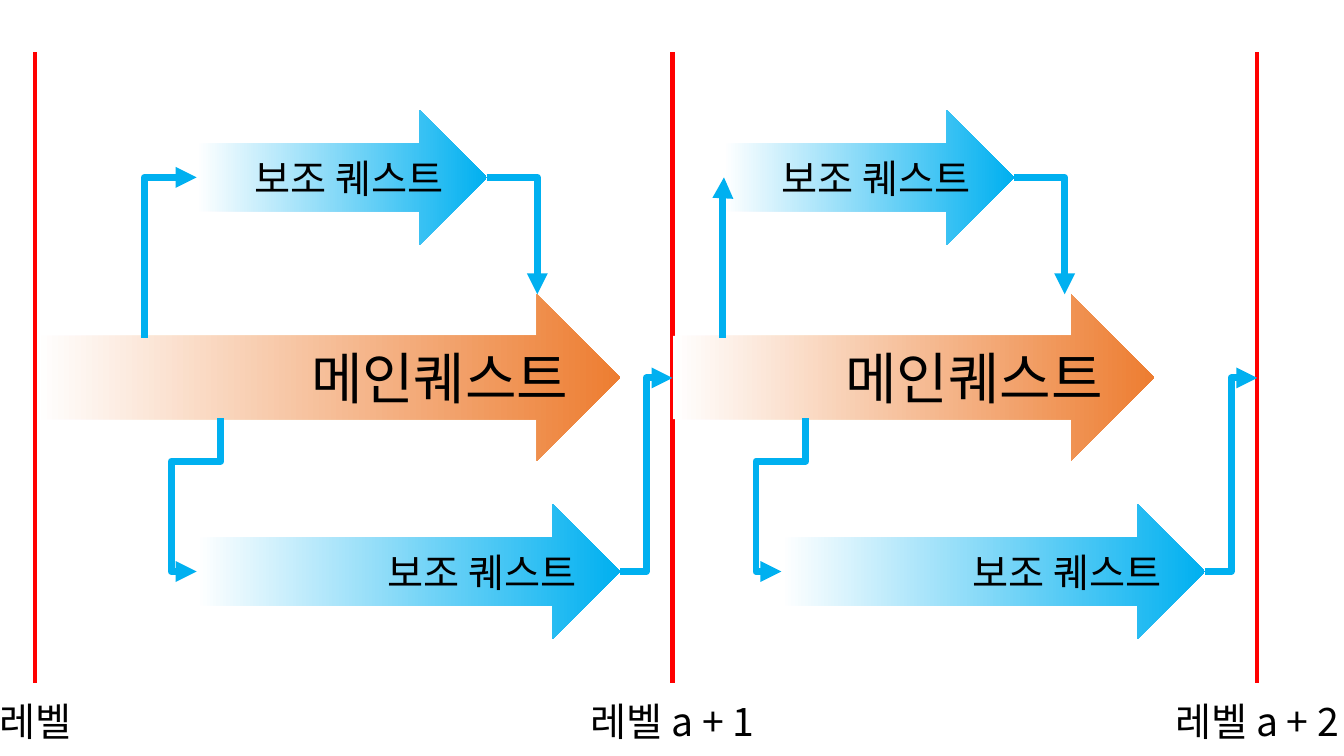
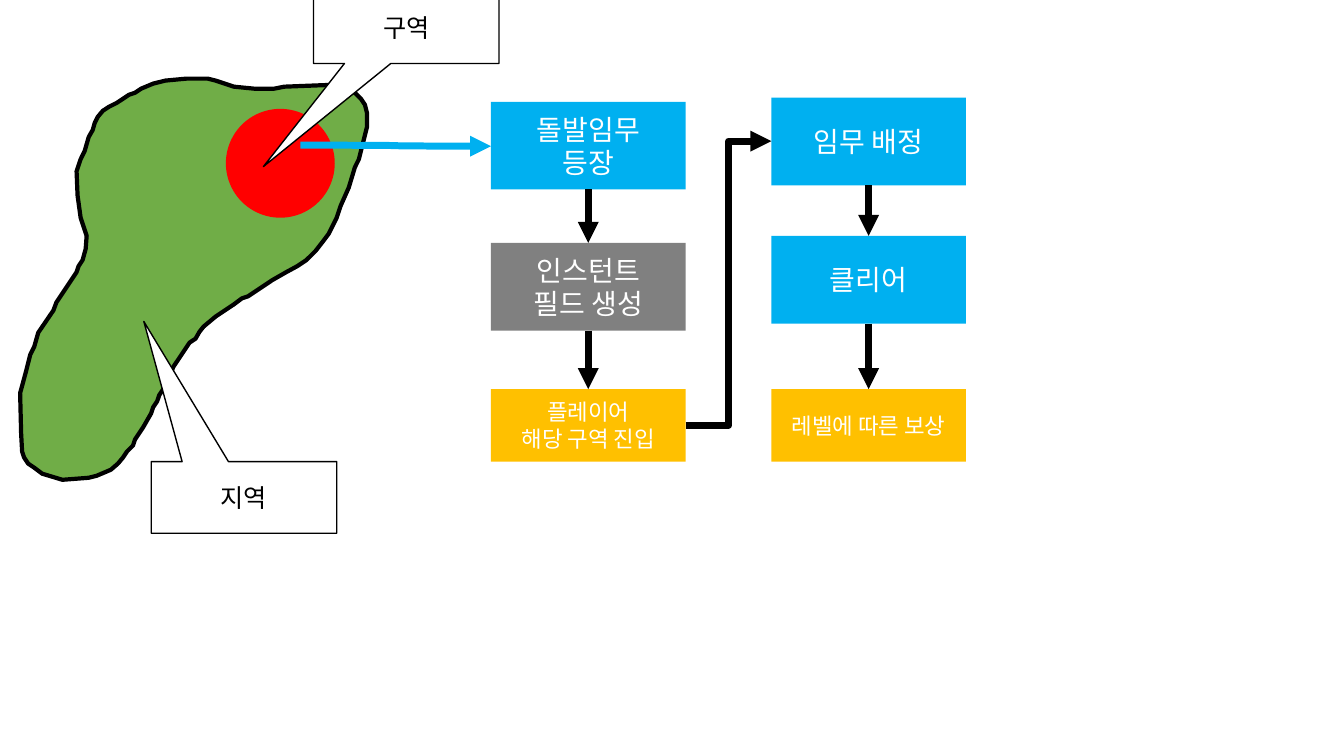
"""Build two game-design slides: quest flow per level and sudden-mission flow."""
from lxml.etree import SubElement
from pptx import Presentation
from pptx.dml.color import RGBColor
from pptx.enum.shapes import MSO_CONNECTOR, MSO_SHAPE
from pptx.enum.text import MSO_ANCHOR, PP_ALIGN
from pptx.oxml.ns import qn
from pptx.util import Pt

PX = 9144
FONT = "Noto Sans CJK KR"
WHITE = RGBColor(0xFF, 0xFF, 0xFF)
BLACK = RGBColor(0, 0, 0)
RED = RGBColor(0xFF, 0, 0)
BLUE = RGBColor(0x00, 0xB0, 0xF0)
ORANGE = RGBColor(0xED, 0x7D, 0x31)
AMBER = RGBColor(0xFF, 0xC0, 0x00)
GRAY = RGBColor(0x80, 0x80, 0x80)
GREEN = RGBColor(0x70, 0xAD, 0x47)

LEVELS = [(35, 100, "레벨 a"), (667, 210, "레벨 a + 1"), (1247, 210, "레벨 a + 2")]
LEVEL_TOP, LEVEL_BOTTOM, LABEL_TOP = 52, 678, 687
MAIN, SIDE = "메인퀘스트", "보조 퀘스트"
STAGES = [
    {"main": (35, 580), "upper": 195, "branch": 143, "lower": 195, "end": 667},
    {"main": (667, 478), "upper": 718, "branch": 717, "lower": 775, "end": 1247},
]
MAIN_TOP, MAIN_H, SIDE_H = 292, 165, 134
UPPER_TOP, UPPER_W, LOWER_TOP, LOWER_W = 109, 288, 500, 420

BOX_W = 193
COLUMNS = [
    (487, [(101, 87, BLUE, 20, ["돌발임무", "등장"]),
           (241, 87, GRAY, 20, ["인스턴트", "필드 생성"]),
           (386, 72, AMBER, 16, ["플레이어", "해당 구역 진입"])]),
    (765, [(97, 87, BLUE, 20, ["임무 배정"]),
           (234, 87, BLUE, 20, ["클리어"]),
           (386, 72, AMBER, 16, ["레벨에 따른 보상"])]),
]
CALLOUTS = [(150, 458, -0.54, -2.46, "지역"), (311, -8, -0.77, 1.94, "구역")]
ZONE = (224, 108, 108, 108)
REGION = [
    (206, 78), (185, 78), (164, 80), (152, 83), (140, 88), (134, 92), (128, 94),
    (116, 102), (108, 106), (102, 110), (97, 116), (94, 122), (92, 129), (88, 136),
    (84, 150), (80, 158), (76, 170), (77, 194), (80, 216), (86, 234), (85, 247),
    (82, 258), (78, 264), (76, 270), (60, 294), (56, 300), (53, 308), (38, 330),
    (34, 344), (30, 352), (26, 368), (20, 390), (21, 430), (22, 448), (24, 454),
    (28, 460), (34, 464), (42, 470), (62, 476), (88, 474), (96, 472), (110, 466),
    (117, 460), (122, 454), (126, 448), (132, 442), (134, 436), (142, 424),
    (150, 410), (152, 404), (156, 398), (158, 392), (162, 386), (164, 380),
    (168, 374), (172, 364), (188, 340), (194, 336), (198, 329), (202, 324),
    (214, 314), (232, 302), (240, 296), (246, 294), (258, 286), (270, 278),
    (284, 270), (295, 264), (304, 258), (313, 249), (320, 240), (326, 232),
    (334, 216), (338, 204), (346, 186), (352, 166), (356, 158), (364, 126),
    (364, 112), (362, 104), (358, 98), (352, 92), (346, 88), (334, 84), (282, 86),
    (272, 88), (252, 88), (232, 86), (214, 80),
]


def write(s, lines, size, color, align):
    tf = s.text_frame
    for i, text in enumerate(lines):
        p = tf.paragraphs[0] if i == 0 else tf.add_paragraph()
        p.alignment = align
        r = p.add_run()
        r.text = text
        r.font.size = Pt(size)
        r.font.color.rgb = color
        r.font.name = FONT
        SubElement(r.font._element, qn("a:ea")).set("typeface", FONT)


def outline(s, color, width):
    s.line.color.rgb = color
    s.line.width = Pt(width)


def add_shape(sp, kind, box, fill=None):
    s = sp.add_shape(kind, *[v * PX for v in box])
    s.shadow.inherit = False
    s.line.fill.background()
    s.text_frame.vertical_anchor = MSO_ANCHOR.MIDDLE
    if fill is not None:
        s.fill.solid()
        s.fill.fore_color.rgb = fill
    return s


def quest_arrow(sp, box, color, text, size):
    s = add_shape(sp, MSO_SHAPE.RIGHT_ARROW, box)
    s.fill.gradient()
    s.fill.gradient_angle = 0
    for stop, rgb in zip(s.fill.gradient_stops, (WHITE, color)):
        stop.color.rgb = rgb
    write(s, [text], size, BLACK, PP_ALIGN.RIGHT)


def connect(sp, kind, start, end, color, width=5, head=True):
    c = sp.add_connector(kind, *[round(v * PX) for v in (*start, *end)])
    outline(c, color, width)
    if head:
        SubElement(c.line._get_or_add_ln(), qn("a:tailEnd")).set("type", "triangle")
    SubElement(c._element.spPr, qn("a:effectLst"))
    return c


def bend(c, preset, adjustments=()):
    geom = c._element.spPr.find(qn("a:prstGeom"))
    geom.set("prst", preset)
    av = geom.find(qn("a:avLst"))
    for i, value in enumerate(adjustments, 1):
        gd = SubElement(av, qn("a:gd"))
        gd.set("name", f"adj{i}")
        gd.set("fmla", f"val {round(value * 100000)}")


def leave_vertically(c, start, end):
    (x1, y1), (x2, y2) = start, end
    w, h = abs(y2 - y1), abs(x2 - x1)
    c.left, c.top = round((x1 + x2 - w) * PX / 2), round((y1 + y2 - h) * PX / 2)
    c.width, c.height = w * PX, h * PX
    xfrm = c._element.spPr.find(qn("a:xfrm"))
    xfrm.set("rot", str(90 * 60000))
    xfrm.set("flipH", str(int(y2 < y1)))
    xfrm.set("flipV", str(int(x2 > x1)))


def elbow(sp, start, end, color, preset="bentConnector3", adjustments=(), vertical=False):
    c = connect(sp, MSO_CONNECTOR.ELBOW, start, end, color)
    bend(c, preset, adjustments)
    if vertical:
        leave_vertically(c, start, end)


def main_quest(sp, stage):
    x, w = stage["main"]
    quest_arrow(sp, (x, MAIN_TOP, w, MAIN_H), ORANGE, MAIN, 40)


def side_quests(sp, stage):
    upper, lower = stage["upper"], stage["lower"]
    upper_y, lower_y = UPPER_TOP + SIDE_H // 2, LOWER_TOP + SIDE_H // 2
    main_y = MAIN_TOP + MAIN_H // 2
    quest_arrow(sp, (upper, UPPER_TOP, UPPER_W, SIDE_H), BLUE, SIDE, 28)
    quest_arrow(sp, (lower, LOWER_TOP, LOWER_W, SIDE_H), BLUE, SIDE, 28)
    elbow(sp, (stage["branch"], 335), (upper, upper_y), BLUE, "bentConnector2", vertical=True)
    elbow(sp, (upper + UPPER_W, upper_y), (upper + UPPER_W + 50, MAIN_TOP), BLUE, "bentConnector2")
    elbow(sp, (lower + 24, 415), (lower, lower_y), BLUE, "bentConnector4", (0.28, 2.05), True)
    elbow(sp, (lower + LOWER_W, lower_y), (stage["end"], main_y + 1), BLUE)


def quest_slide(sp):
    main_quest(sp, STAGES[0])
    for x, w, label in LEVELS:
        connect(sp, MSO_CONNECTOR.STRAIGHT, (x, LEVEL_TOP), (x, LEVEL_BOTTOM), RED, 3, False)
        s = sp.add_textbox((x - w // 2) * PX, LABEL_TOP * PX, w * PX, 57 * PX)
        s.text_frame.word_wrap = True
        write(s, [label], 28, BLACK, PP_ALIGN.CENTER)
    main_quest(sp, STAGES[1])
    for stage in STAGES:
        side_quests(sp, stage)


def mission_slide(sp):
    builder = sp.build_freeform(*REGION[0], scale=PX)
    builder.add_line_segments(REGION[1:], close=True)
    region = builder.convert_to_shape()
    region.shadow.inherit = False
    region.fill.solid()
    region.fill.fore_color.rgb = GREEN
    outline(region, BLACK, 3)
    add_shape(sp, MSO_SHAPE.OVAL, ZONE, RED)
    connect(sp, MSO_CONNECTOR.CURVE, (298, 144), (487, 145), BLUE)

    for x, boxes in COLUMNS:
        above = None
        for y, h, fill, size, lines in boxes:
            s = add_shape(sp, MSO_SHAPE.RECTANGLE, (x, y, BOX_W, h), fill)
            write(s, lines, size, WHITE, PP_ALIGN.CENTER)
            if above is not None:
                c = connect(sp, MSO_CONNECTOR.STRAIGHT, (x, y), (x, y), BLACK)
                c.begin_connect(above, 2)
                c.end_connect(s, 0)
            above = s
    (left, first), (right, second) = COLUMNS
    elbow(sp, (left + BOX_W, first[-1][0] + first[-1][1] // 2),
          (right, second[0][0] + second[0][1] // 2), BLACK)

    for x, y, tip_x, tip_y, label in CALLOUTS:
        s = add_shape(sp, MSO_SHAPE.RECTANGULAR_CALLOUT, (x, y, 184, 71), WHITE)
        s.adjustments[0], s.adjustments[1] = tip_x, tip_y
        outline(s, BLACK, 1)
        write(s, [label], 18, BLACK, PP_ALIGN.CENTER)


def main():
    prs = Presentation()
    prs.slide_width, prs.slide_height = 1333 * PX, 750 * PX
    for build in (quest_slide, mission_slide):
        build(prs.slides.add_slide(prs.slide_layouts[6]).shapes)
    prs.save("out.pptx")


if __name__ == "__main__":
    main()
